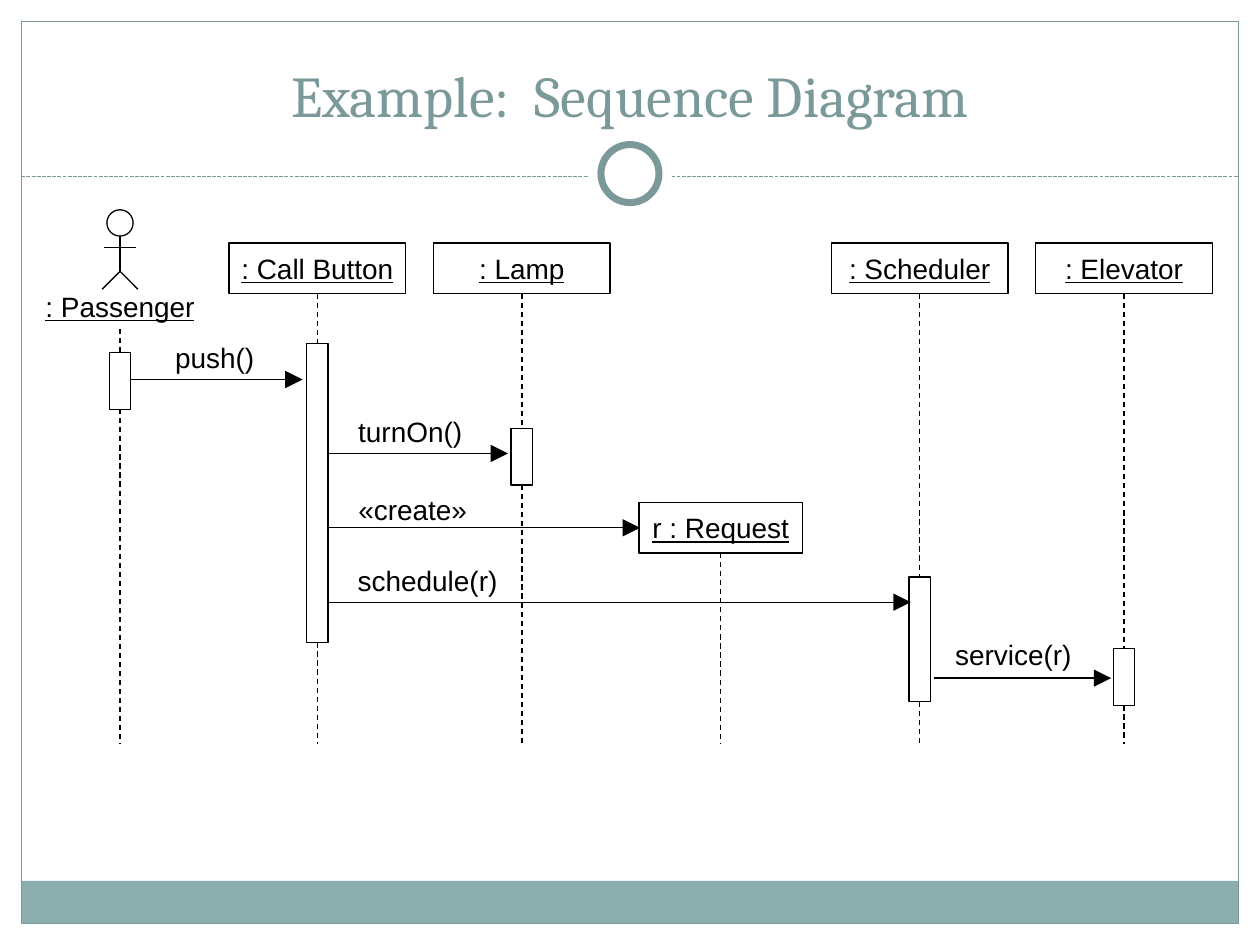
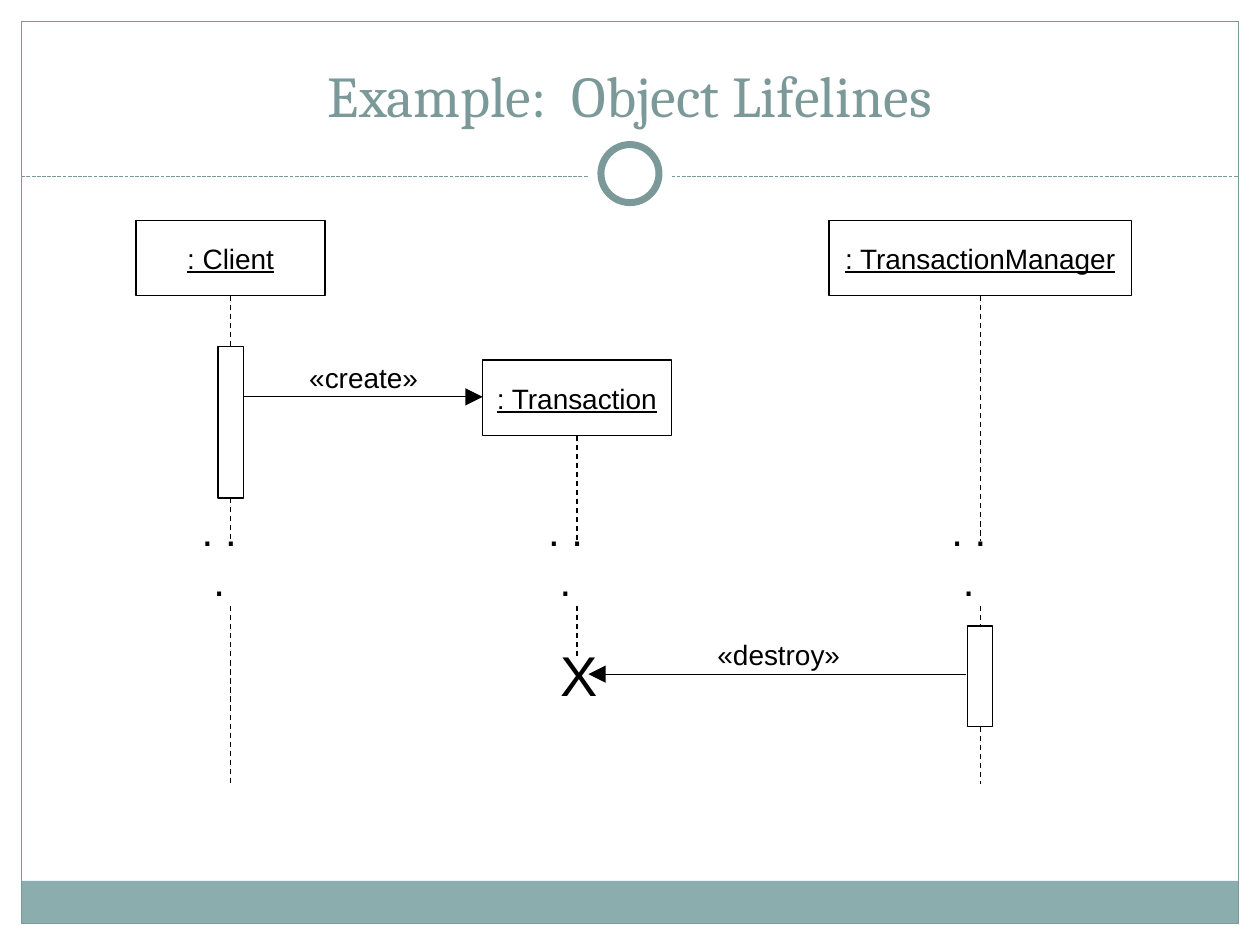
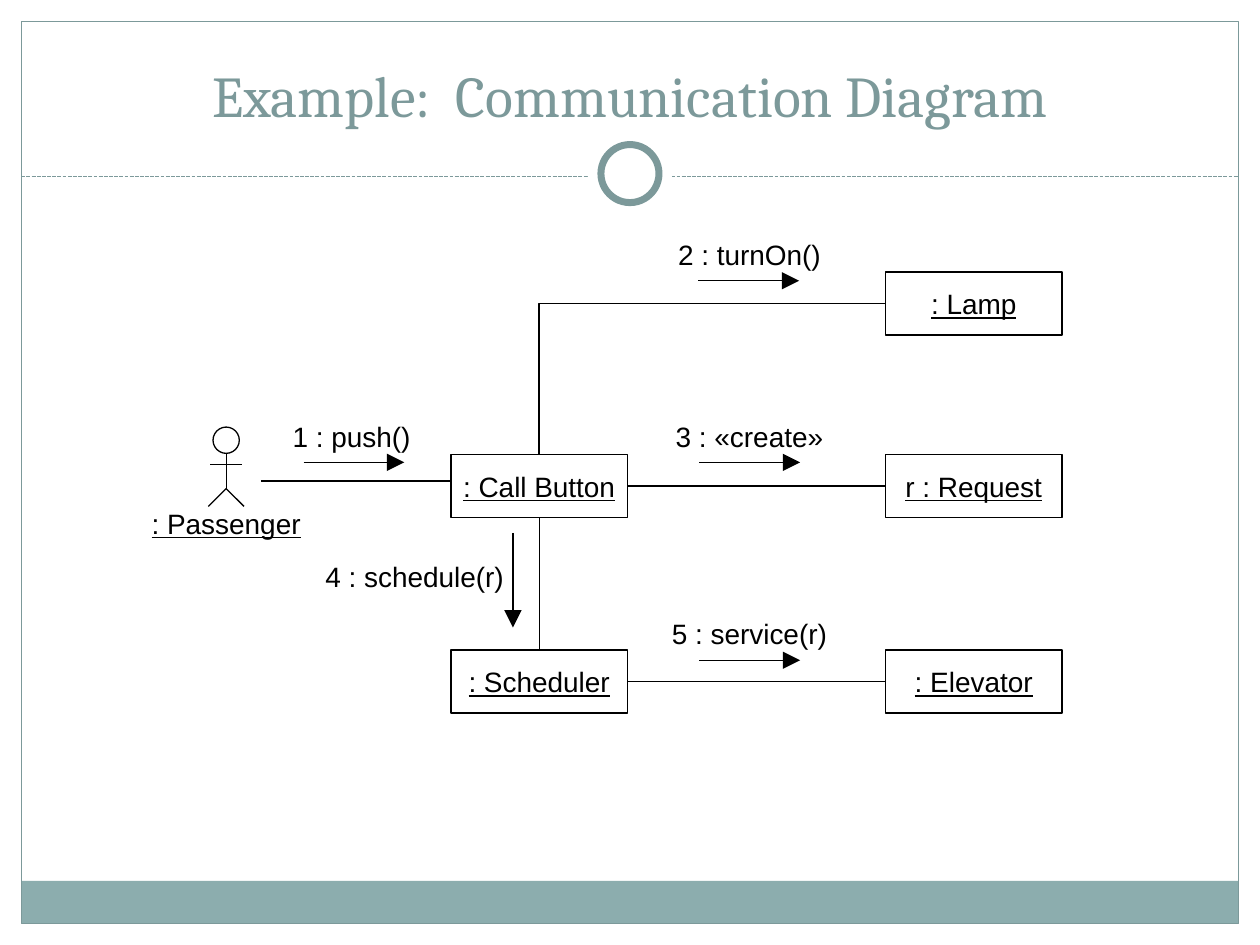
from lxml.etree import SubElement
from pptx import Presentation
from pptx.dml.color import RGBColor
from pptx.enum.dml import MSO_LINE as DASH
from pptx.enum.shapes import MSO_CONNECTOR as CONN, MSO_SHAPE as SHAPE
from pptx.enum.text import MSO_ANCHOR as ANCHOR, PP_ALIGN as ALIGN
from pptx.oxml.ns import qn
from pptx.util import Cm, Pt

# Theme; all lengths are in centimetres
COLORS = {"ink": "000000", "title": "7C999A", "band": "8CADAE", "paper": "FFFFFF"}
WIDTH, HEIGHT = 25.4, 19.05
MARGIN = 0.43
LABEL_H = 0.94

# Sequence diagram: participants are (name, centre x, top, width)
SEQUENCE = {
    "title": "Example:  Sequence Diagram",
    "actors": [(": Passenger", 2.42, 4.23)],
    "box_height": 1.02,
    "participants": [
        (": Call Button", 6.4, 4.9, 3.56),
        (": Lamp", 10.52, 4.9, 3.56),
        ("r : Request", 14.53, 10.13, 3.3),
        (": Scheduler", 18.54, 4.9, 3.56),
        (": Elevator", 22.66, 4.9, 3.56),
    ],
    # Lifelines: (centre x, start, end, activation bars, pauses)
    "bar_width": 0.43,
    "lifelines": [
        (2.42, 6.63, 14.99, [(7.11, 8.25)], []),
        (6.4, 5.92, 14.99, [(6.93, 12.95)], []),
        (10.52, 5.92, 14.99, [(8.64, 9.78)], []),
        (14.53, 11.15, 14.99, [], []),
        (18.54, 5.92, 14.99, [(11.63, 14.15)], []),
        (22.66, 5.92, 14.99, [(13.08, 14.22)], []),
    ],
    # Messages: (text, label centre x, label centre y, label width, from, to)
    "messages": [
        ("push()", 4.33, 7.2, 2.11, (2.62, 7.65), (6.1, 7.65)),
        ("turnOn()", 8.27, 8.7, 2.62, (6.6, 9.14), (10.24, 9.14)),
        ("«create»", 8.32, 10.27, 2.72, (6.6, 10.64), (12.9, 10.64)),
        ("schedule(r)", 8.62, 11.7, 3.33, (6.6, 12.14), (18.36, 12.14)),
        ("service(r)", 20.43, 13.2, 2.87, (18.82, 13.67), (22.4, 13.67)),
    ],
}

# Object lifelines, with a pause shown by dots
PAUSE = (10.9, 12.22)
LIFELINES = {
    "title": "Example:  Object Lifelines",
    "actors": [],
    "box_height": 1.52,
    "participants": [
        (": Client", 4.65, 4.44, 3.81),
        (": Transaction", 11.63, 7.26, 3.81),
        (": TransactionManager", 19.76, 4.44, 6.1),
    ],
    "bar_width": 0.51,
    "lifelines": [
        (4.65, 5.96, 15.8, [(6.99, 10.04)], [PAUSE]),
        (11.63, 8.78, 13.26, [], [PAUSE]),
        (19.76, 5.96, 15.8, [(12.62, 14.65)], [PAUSE]),
    ],
    "messages": [
        ("«create»", 7.33, 7.6, 2.72, (4.91, 8.0), (9.73, 8.0)),
        ("«destroy»", 15.7, 13.2, 3.0, (19.48, 13.59), (11.86, 13.59)),
    ],
}
DESTROYED = ("X", 11.68, 13.58, 1.27, 1.6)

# Communication diagram: objects are name -> centre
COMMUNICATION_TITLE = "Example:  Communication Diagram"
PASSENGER = (": Passenger", 4.56, 8.61)
LEFT_COL, RIGHT_COL = 10.87, 19.63
ROWS = (6.12, 9.8, 13.74)
OBJECT_W, OBJECT_H = 3.56, 1.27
OBJECTS = {
    ": Call Button": (LEFT_COL, ROWS[1]),
    ": Scheduler": (LEFT_COL, ROWS[2]),
    ": Lamp": (RIGHT_COL, ROWS[0]),
    "r : Request": (RIGHT_COL, ROWS[1]),
    ": Elevator": (RIGHT_COL, ROWS[2]),
}
CALLS = [
    ("1 : push()", 7.09, 8.8, 2.9, (6.12, 9.32), (8.15, 9.32)),
    ("2 : turnOn()", 15.11, 5.12, 3.4, (14.08, 5.66), (16.11, 5.66)),
    ("3 : «create»", 15.11, 8.8, 3.51, (14.1, 9.32), (16.13, 9.32)),
    ("4 : schedule(r)", 8.36, 11.62, 4.11, (10.34, 10.74), (10.34, 12.65)),
    ("5 : service(r)", 15.11, 12.76, 3.66, (14.1, 13.31), (16.13, 13.31)),
]


def rgb(name):
    return RGBColor.from_string(COLORS[name])


def write(shape, text, size=16, font="Arial", color="ink", underline=False,
          anchor=ANCHOR.MIDDLE, wrap=False, inset=0):
    tf = shape.text_frame
    tf.word_wrap, tf.vertical_anchor = wrap, anchor
    tf.margin_left = tf.margin_right = tf.margin_top = tf.margin_bottom = Cm(inset)
    p = tf.paragraphs[0]
    p.alignment = ALIGN.CENTER
    r = p.add_run()
    r.text = text
    r.font.size, r.font.name = Pt(size), font
    r.font.color.rgb = rgb(color)
    if underline:
        r.font.underline = True


def label(s, text, cx, cy, w, h=LABEL_H, **style):
    tb = s.shapes.add_textbox(Cm(cx - w / 2), Cm(cy - h / 2), Cm(w), Cm(h))
    write(tb, text, **style)


def outline(s, x, y, w, h, kind=SHAPE.RECTANGLE, fill=None, line="ink", weight=0.75):
    sp = s.shapes.add_shape(kind, Cm(x), Cm(y), Cm(w), Cm(h))
    sp.shadow.inherit = False
    if fill:
        sp.fill.solid()
        sp.fill.fore_color.rgb = rgb(fill)
    else:
        sp.fill.background()
    if line:
        sp.line.color.rgb = rgb(line)
        sp.line.width = Pt(weight)
    else:
        sp.line.fill.background()
    return sp


def connect(s, start, end, color="ink", dash=None, arrow=False, kind=CONN.STRAIGHT):
    c = s.shapes.add_connector(kind, *(Cm(v) for v in (*start, *end)))
    c.line.color.rgb = rgb(color)
    c.line.width = Pt(0.75)
    if dash:
        c.line.dash_style = dash
    if arrow:
        SubElement(c.line._get_or_add_ln(), qn("a:tailEnd"),
                   type="triangle", w="lg", len="lg")
    SubElement(c._element.spPr, qn("a:effectLst"))
    return c


def named_box(s, name, x, y, w, h):
    write(outline(s, x, y, w, h), name, underline=True)


def stick_figure(s, name, cx, top):
    grp = s.shapes.add_group_shape()
    figure = type("Figure", (), {"shapes": grp.shapes})
    head, hip, foot = 0.53, 1.24, 1.6
    outline(figure, cx - head / 2, top, head, head, SHAPE.OVAL)
    connect(figure, (cx - 0.32, top + 0.76), (cx + 0.32, top + 0.76))
    connect(figure, (cx, top + head), (cx, top + hip))
    for side in (-0.36, 0.36):
        connect(figure, (cx, top + hip), (cx + side, top + foot))
    label(figure, name, cx, top + 1.94, 3.53, underline=True)


def message(s, text, cx, cy, w, start, end):
    connect(s, start, end, arrow=True)
    label(s, text, cx, cy, w)


def lifeline(s, x, start, end, bars, pauses, bar_w):
    for top, bottom in sorted(bars + pauses):
        connect(s, (x, start), (x, top), dash=DASH.DASH)
        start = bottom
    connect(s, (x, start), (x, end), dash=DASH.DASH)
    for top, bottom in bars:
        outline(s, x - bar_w / 2, top, bar_w, bottom - top)
    for _ in pauses:
        label(s, ". . .", x - 0.23, 11.18, 1.0, 1.27, size=24, wrap=True)


def new_slide(prs, title):
    s = prs.slides.add_slide(prs.slide_layouts[6])
    # Bottom band, frame, dashed rule and ring
    inner_w, rule_y, ring_y = WIDTH - 2 * MARGIN, 3.56, 3.5
    outline(s, MARGIN, 17.76, inner_w, 0.86, fill="band", line=None)
    outline(s, MARGIN, MARGIN, inner_w, HEIGHT - 2 * MARGIN, line="title")
    connect(s, (MARGIN, rule_y), (WIDTH - MARGIN, rule_y), "title", DASH.SQUARE_DOT)
    for size, line in ((1.7, None), (1.17, "title")):
        outline(s, (WIDTH - size) / 2, ring_y - size / 2, size, size,
                SHAPE.OVAL, "paper", line, 4)
    label(s, title, WIDTH / 2, 1.69, 23.7, 2.1, size=33, font="Cambria",
          color="title", anchor=ANCHOR.BOTTOM, wrap=True, inset=0.13)
    return s


def lifeline_slide(prs, diagram):
    s = new_slide(prs, diagram["title"])
    for actor in diagram["actors"]:
        stick_figure(s, *actor)
    for name, cx, top, w in diagram["participants"]:
        named_box(s, name, cx - w / 2, top, w, diagram["box_height"])
    for line in diagram["lifelines"]:
        lifeline(s, *line, diagram["bar_width"])
    for call in diagram["messages"]:
        message(s, *call)
    return s


def communication_slide(prs):
    s = new_slide(prs, COMMUNICATION_TITLE)
    stick_figure(s, *PASSENGER)
    for name, (cx, cy) in OBJECTS.items():
        named_box(s, name, cx - OBJECT_W / 2, cy - OBJECT_H / 2, OBJECT_W, OBJECT_H)
    # Links between object edges
    left_edge, right_edge = LEFT_COL + OBJECT_W / 2, RIGHT_COL - OBJECT_W / 2
    for y in ROWS[1:]:
        connect(s, (left_edge, y), (right_edge, y))
    connect(s, (LEFT_COL, ROWS[1] + OBJECT_H / 2), (LEFT_COL, ROWS[2] - OBJECT_H / 2))
    connect(s, (5.26, 9.7), (LEFT_COL - OBJECT_W / 2, 9.7))
    elbow = connect(s, (right_edge, ROWS[0]), (LEFT_COL, ROWS[1] - OBJECT_H / 2),
                    kind=CONN.ELBOW)
    elbow._element.spPr.find(qn("a:prstGeom")).set("prst", "bentConnector2")
    for call in CALLS:
        message(s, *call)


def main():
    prs = Presentation()
    prs.slide_width, prs.slide_height = Cm(WIDTH), Cm(HEIGHT)
    lifeline_slide(prs, SEQUENCE)
    s = lifeline_slide(prs, LIFELINES)
    label(s, *DESTROYED, size=32)
    communication_slide(prs)
    prs.save("out.pptx")


if __name__ == "__main__":
    main()
